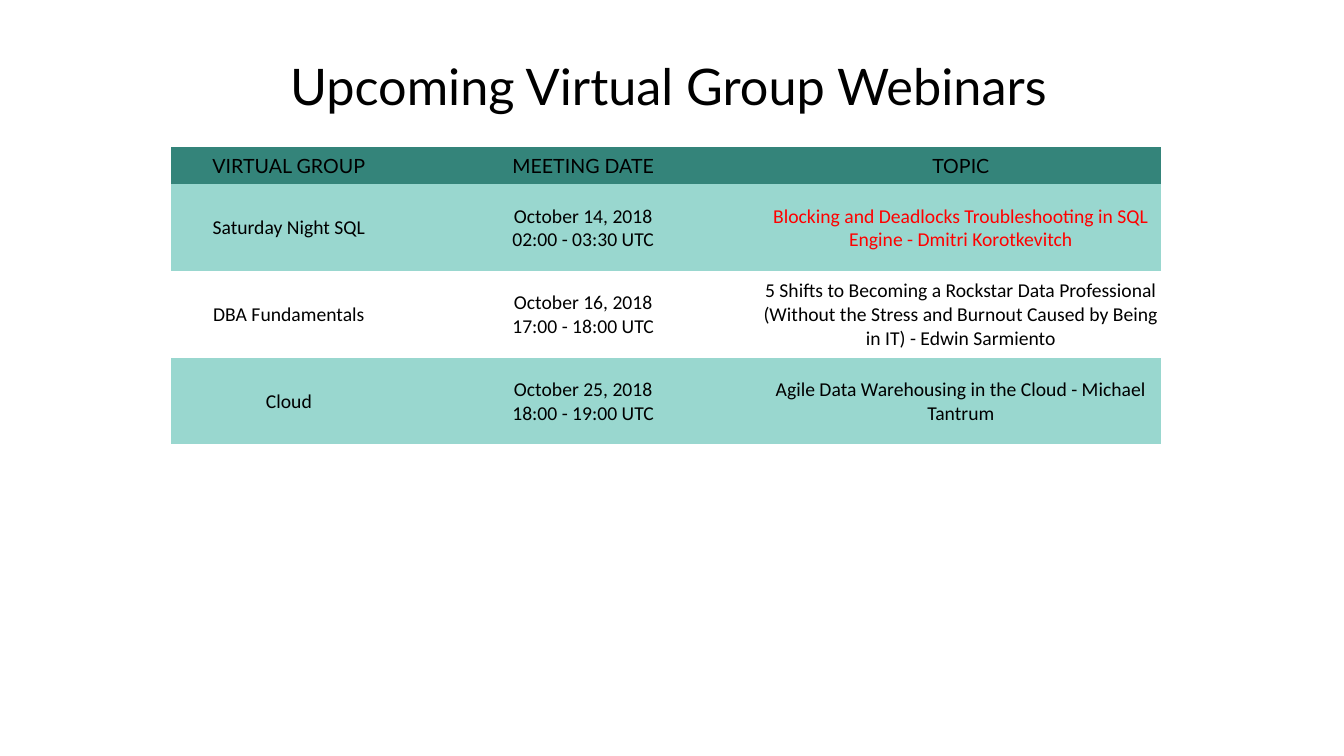
from pptx import Presentation
from pptx.dml.color import RGBColor
from pptx.enum.text import MSO_ANCHOR, MSO_AUTO_SIZE, PP_ALIGN
from pptx.oxml.ns import qn
from pptx.util import Inches, Pt

BLACK = RGBColor(0x00, 0x00, 0x00)
RED = RGBColor(0xFF, 0x00, 0x00)
TEAL = RGBColor(0x34, 0x84, 0x7A)
MINT = RGBColor(0x99, 0xD7, 0xCF)
PLAIN_TABLE_STYLE = "{2D5ABB26-0587-4C30-8999-92F81FD0307C}"

HEADINGS = ("VIRTUAL GROUP", "MEETING DATE", "TOPIC")
WEBINARS = (
    ("Saturday Night SQL", "October 14, 2018\n02:00 - 03:30 UTC",
     "Blocking and Deadlocks Troubleshooting in SQL Engine - Dmitri Korotkevitch"),
    ("DBA Fundamentals", "October 16, 2018\n17:00 - 18:00 UTC",
     "5 Shifts to Becoming a Rockstar Data Professional (Without the Stress and "
     "Burnout Caused by Being in IT) - Edwin Sarmiento"),
    ("Cloud", "October 25, 2018\n18:00 - 19:00 UTC",
     "Agile Data Warehousing in the Cloud - Michael Tantrum"),
)


def apply_format(target, values):
    """Set each attribute of the target from a dict of values."""
    for name, value in values.items():
        setattr(target, name, value)


class WebinarSlide:
    """Hold the style and the current slide."""

    heading_font = {"name": "Lato", "size": Pt(14), "bold": False}
    body_font = {"name": "Calibri", "size": Pt(14), "bold": False}
    title_font = {"name": "Lato", "size": Pt(36), "bold": False}
    heading_margins = {"margin_left": Inches(0.1), "margin_right": Inches(0.1),
                       "margin_top": Inches(0.05), "margin_bottom": Inches(0.05)}
    body_margins = {"margin_left": Inches(0.01), "margin_right": Inches(0.01),
                    "margin_top": Inches(0.01), "margin_bottom": Inches(0)}

    def __init__(self, presentation):
        """Add a title-only slide."""
        self.slide = presentation.slides.add_slide(presentation.slide_layouts[5])

    def set_text(self, text_frame, text, font, color=BLACK, line_spacing=None):
        """Set centred paragraphs in one style."""
        text_frame.text = text
        for paragraph in text_frame.paragraphs:
            apply_format(paragraph, {"alignment": PP_ALIGN.CENTER,
                                     "line_spacing": line_spacing})
            for run in paragraph.runs:
                apply_format(run.font, font)
                run.font.color.rgb = color

    def add_title(self, text, left, top, width, height):
        """Place and format the title placeholder."""
        title = self.slide.shapes.title
        apply_format(title, {"left": Inches(left), "top": Inches(top),
                             "width": Inches(width), "height": Inches(height)})
        apply_format(title.text_frame, {"word_wrap": True,
                                        "auto_size": MSO_AUTO_SIZE.NONE,
                                        "vertical_anchor": MSO_ANCHOR.TOP})
        self.set_text(title.text_frame, text, self.title_font, line_spacing=Pt(35))

    def fill_cell(self, cell, text, font, margins, fill, color):
        """Set the text and colours of one table cell."""
        apply_format(cell, {**margins, "vertical_anchor": MSO_ANCHOR.MIDDLE})
        self.set_text(cell.text_frame, text, font, color)
        if fill is None:
            cell.fill.background()
        else:
            cell.fill.solid()
            cell.fill.fore_color.rgb = fill

    def add_schedule(self, left, top, widths, heights):
        """Add the table of webinars with alternating row fills."""
        rows = (HEADINGS, *WEBINARS)
        frame = self.slide.shapes.add_table(
            len(rows), len(HEADINGS), Inches(left), Inches(top),
            Inches(sum(widths)), Inches(sum(heights)))
        table = frame.table
        apply_format(table, {"first_row": False, "horz_banding": False})
        table._tbl.tblPr.find(qn("a:tableStyleId")).text = PLAIN_TABLE_STYLE
        for column, width in zip(table.columns, widths):
            column.width = Inches(width)
        for row, height in zip(table.rows, heights):
            row.height = Inches(height)
        for row_index, texts in enumerate(rows):
            is_heading = row_index == 0
            font = self.heading_font if is_heading else self.body_font
            margins = self.heading_margins if is_heading else self.body_margins
            fill = TEAL if is_heading else MINT if row_index % 2 else None
            for column_index, text in enumerate(texts):
                color = RED if (row_index, column_index) == (1, 2) else BLACK
                self.fill_cell(table.cell(row_index, column_index), text,
                               font, margins, fill, color)


def main():
    """Build and save the presentation."""
    presentation = Presentation()
    apply_format(presentation, {"slide_width": Inches(13.33),
                                "slide_height": Inches(7.5)})
    webinar_slide = WebinarSlide(presentation)
    webinar_slide.add_title("Upcoming Virtual Group Webinars", 0.63, 0.61, 12, 0.75)
    webinar_slide.add_schedule(1.7, 1.46, (2.33, 3.51, 3.98),
                               (0.37, 0.86, 0.86, 0.86))
    presentation.save("out.pptx")


if __name__ == "__main__":
    main()
